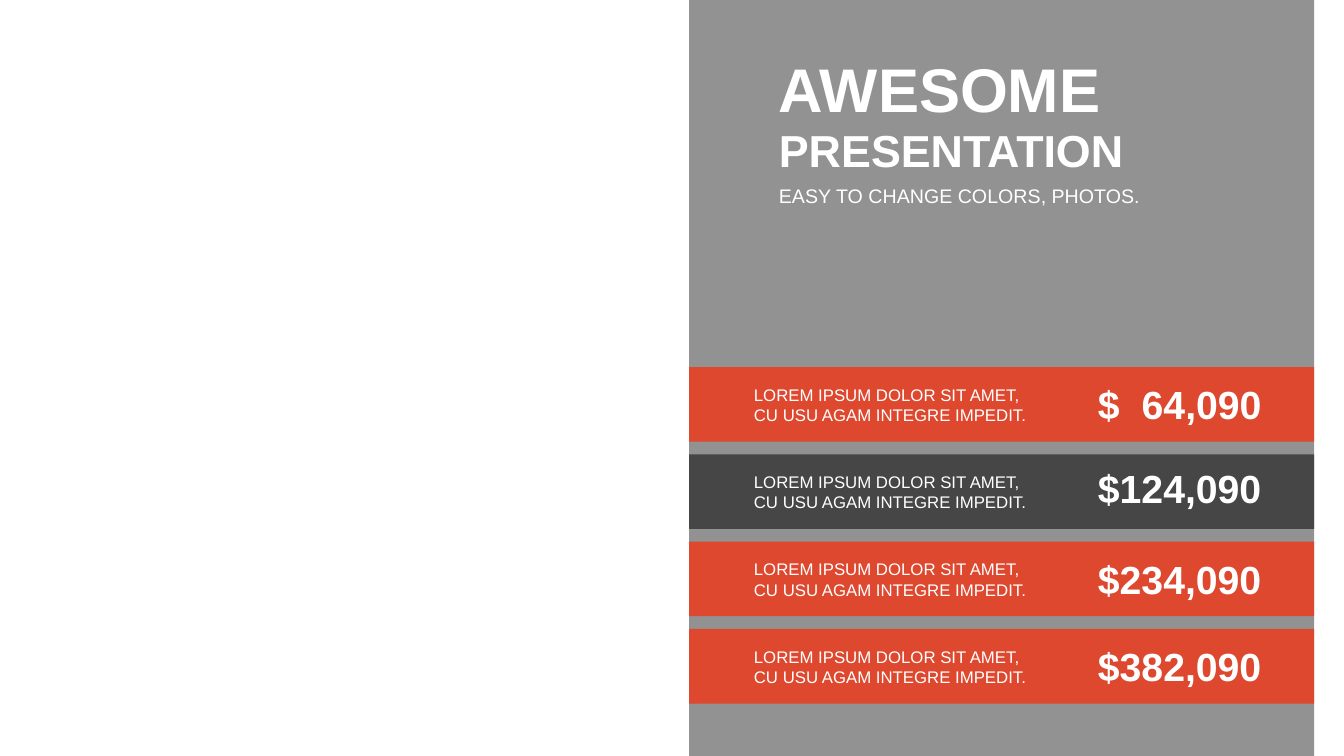
from lxml import etree
from pptx import Presentation
from pptx.dml.color import RGBColor
from pptx.enum.shapes import MSO_SHAPE
from pptx.enum.text import MSO_ANCHOR
from pptx.oxml.ns import qn
from pptx.util import Cm, Pt

COLORS = {"dark": "262626", "red": "FD2906", "white": "FFFFFF"}
FONT = "Arial"
PANEL_LEFT, PANEL_WIDTH = 17.37, 15.75

deck = Presentation()
deck.slide_width, deck.slide_height = Cm(33.87), Cm(19.05)
page = deck.slides.add_slide(deck.slide_layouts[6])


def add_band(top, height, color, opacity):
    band = page.shapes.add_shape(MSO_SHAPE.RECTANGLE, Cm(PANEL_LEFT), Cm(top),
                                 Cm(PANEL_WIDTH), Cm(height))
    band.shadow.inherit = False
    band.line.fill.background()
    band.fill.solid()
    band.fill.fore_color.rgb = RGBColor.from_string(COLORS[color])
    tint = band.fill._xPr.find(qn("a:solidFill"))[0]
    etree.SubElement(tint, qn("a:alpha"), val=str(opacity * 1000))


def add_text(left, top, width, height, lines, size, bold=False, anchor=MSO_ANCHOR.MIDDLE):
    box = page.shapes.add_textbox(Cm(left), Cm(top), Cm(width), Cm(height))
    frame = box.text_frame
    frame.word_wrap = True
    frame.vertical_anchor = anchor
    for index, line in enumerate(lines):
        para = frame.paragraphs[0] if index == 0 else frame.add_paragraph()
        span = para.add_run()
        span.text = line
        span.font.name = FONT
        span.font.size = Pt(size)
        span.font.bold = bold
        span.font.color.rgb = RGBColor.from_string(COLORS["white"])
    return frame


# Grey panel
add_band(0, 19.05, "dark", 50)

# Price rows: band colour, amount, top of the amount
ROWS = [
    ("red", "$\t64,090", 9.47),
    ("dark", "$124,090", 11.58),
    ("red", "$234,090", 13.87),
    ("red", "$382,090", 16.05),
]
DESCRIPTION = ["LOREM IPSUM DOLOR SIT AMET,", "CU USU AGAM INTEGRE IMPEDIT."]
for row, (color, amount, amount_top) in enumerate(ROWS):
    band_top = 9.25 + row * 2.2
    add_band(band_top, 1.88, color, 70)
    add_text(18.75, band_top + 0.31, 8.15, 1.28, DESCRIPTION, 12)
    price = add_text(27.28, amount_top, 4.9, 1.45, [amount], 28, True, MSO_ANCHOR.TOP)
    price.margin_left = Cm(0.39)
    # Right tab keeps the shorter amount flush with the others
    tabs = etree.SubElement(price.paragraphs[0]._p.get_or_add_pPr(), qn("a:tabLst"))
    etree.SubElement(tabs, qn("a:tab"), pos=str(Cm(4.12)), algn="r")

# Heading
add_text(19.38, 1.14, 11.81, 2.13, ["AWESOME"], 44, True)
add_text(19.38, 2.95, 11.81, 1.62, ["PRESENTATION"], 32, True)
add_text(19.38, 4.52, 11.81, 0.86, ["EASY TO CHANGE COLORS, PHOTOS."], 14,
         anchor=MSO_ANCHOR.TOP)

deck.save("out.pptx")
